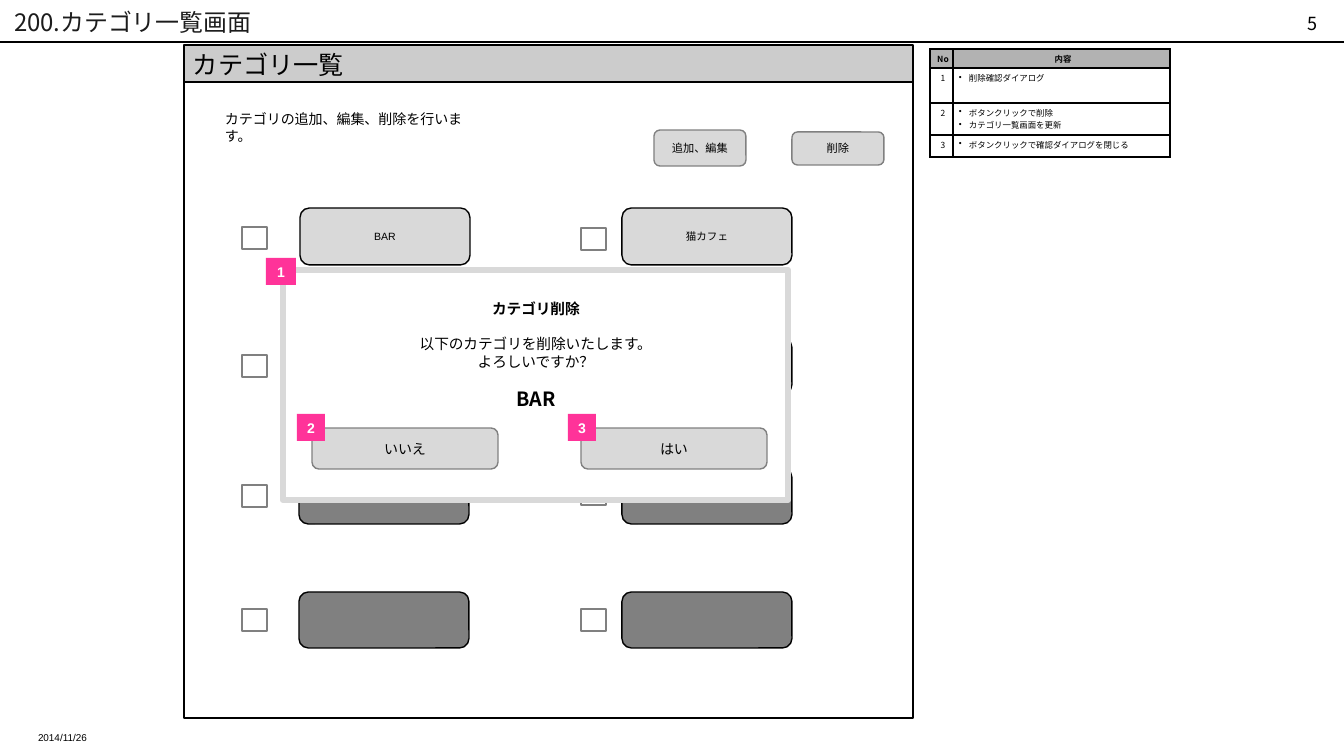
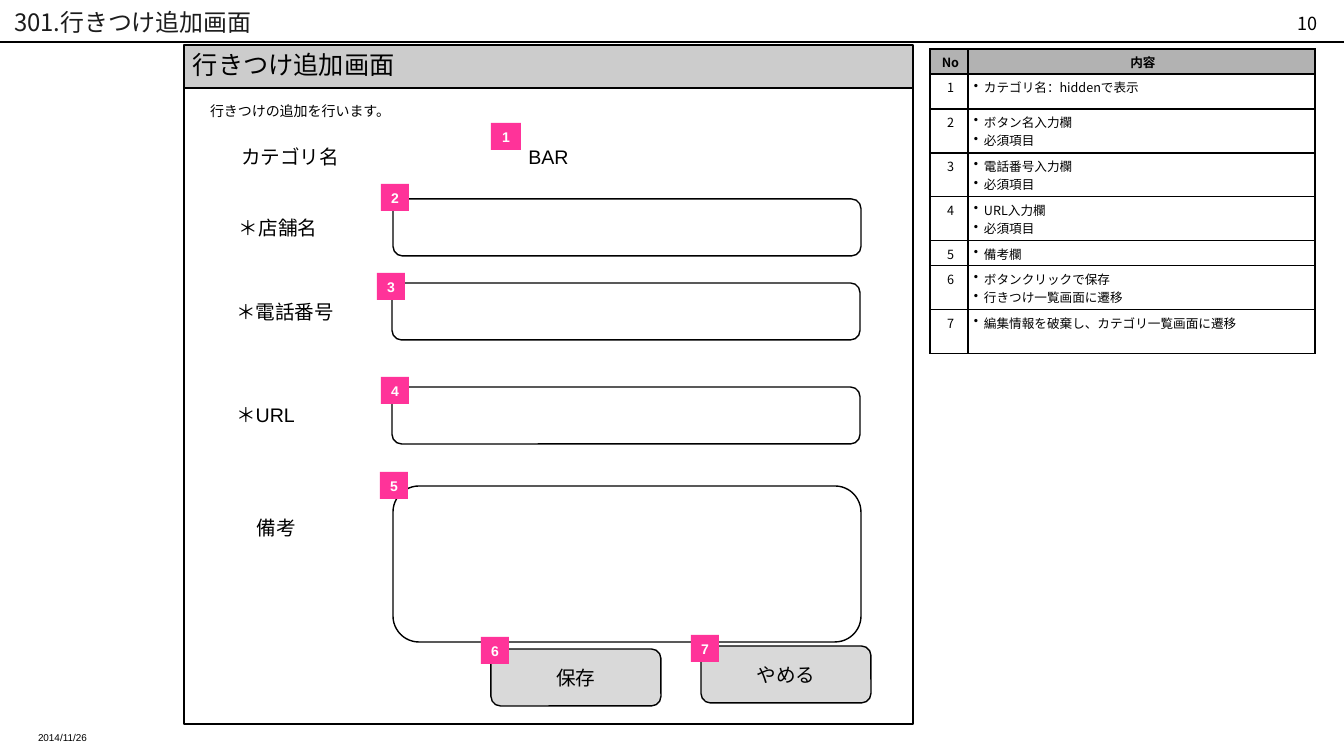
"""Build two annotated screen-design slides with their explanation tables."""
from dataclasses import dataclass

from lxml import etree
from pptx import Presentation
from pptx.enum import shapes, text
from pptx.oxml import ns
from pptx.dml.color import RGBColor
from pptx import util as u

EMU_PER_PX = 914400 / 100.8
LATIN, JAPANESE = "Arial", "Noto Sans CJK JP"
COLORS = {
    "black": "000000", "title": "1C1C1C", "white": "FFFFFF", "band": "CCCCCC",
    "button": "D9D9D9", "disabled": "808080", "marker": "FF3399", "head": "B2B2B2",
}
RECT = shapes.MSO_SHAPE.RECTANGLE
ROUND = shapes.MSO_SHAPE.ROUNDED_RECTANGLE
LEFT, CENTER, RIGHT = text.PP_ALIGN.LEFT, text.PP_ALIGN.CENTER, text.PP_ALIGN.RIGHT
TOP, MIDDLE = text.MSO_ANCHOR.TOP, text.MSO_ANCHOR.MIDDLE


@dataclass
class Frame:
    """A rectangle in px."""
    left: int
    top: int
    width: int
    height: int

    def emu(self) -> list:
        """Return the four lengths in EMU."""
        return [px(n) for n in (self.left, self.top, self.width, self.height)]


@dataclass
class Style:
    """Look of a span of text."""
    size: float
    font: str = LATIN
    color: str = "black"
    bold: bool = False


@dataclass
class Panel:
    """A filled shape with an optional label."""
    frame: Frame
    fill: str = "white"
    line: str = "black"
    kind: int = ROUND
    label: str = ""
    size: float = 10
    weight: float = 1


@dataclass
class Label:
    """A text box with one paragraph."""
    frame: Frame
    words: str
    style: Style
    align: int = LEFT
    inset: tuple = (10, 5, 10, 5)


@dataclass
class Marker:
    """A numbered pink tag."""
    number: int
    left: int
    top: int
    width: int = 28


@dataclass
class Line:
    """A paragraph of the dialog message."""
    words: str
    size: float
    bold: bool
    before: float
    height: float


@dataclass
class Notes:
    """The explanation table beside a screen."""
    columns: tuple
    rows: tuple
    size: float
    items: tuple


def px(length: float) -> int:
    """Turn px into EMU."""
    return round(length * EMU_PER_PX)


def rgb(name: str) -> RGBColor:
    """Look up a colour by name."""
    return RGBColor.from_string(COLORS[name])


def add_span(para, words: str, style: Style) -> None:
    """Add one formatted run to a paragraph."""
    span = para.add_run()
    span.text = words
    span.font.name = style.font
    span.font.size = u.Pt(style.size)
    span.font.bold = style.bold
    span.font.color.rgb = rgb(style.color)
    east_asian = etree.SubElement(span.font._element, ns.qn("a:ea"))
    east_asian.set("typeface", style.font)


def set_margins(target, inset: tuple) -> None:
    """Set the inner margins of a text frame or a cell."""
    sides = ("margin_left", "margin_top", "margin_right", "margin_bottom")
    for side, length in zip(sides, inset):
        setattr(target, side, px(length))


def add_panel(page, panel: Panel):
    """Draw a shape and centre its label."""
    box = page.shapes.add_shape(panel.kind, *panel.frame.emu())
    box.shadow.inherit = False
    box.fill.solid()
    box.fill.fore_color.rgb = rgb(panel.fill)
    if panel.line:
        box.line.color.rgb = rgb(panel.line)
        box.line.width = u.Pt(panel.weight)
    else:
        box.line.fill.background()
    if panel.label:
        box.text_frame.vertical_anchor = MIDDLE
        set_margins(box.text_frame, (4, 5, 4, 5))
        para = box.text_frame.paragraphs[0]
        para.alignment = CENTER
        tag = panel.fill == "marker"
        add_span(para, panel.label, Style(panel.size, color="white" if tag else "black", bold=tag))
    return box


def add_label(page, label: Label) -> None:
    """Draw a wrapping text box."""
    box = page.shapes.add_textbox(*label.frame.emu())
    box.text_frame.word_wrap = True
    set_margins(box.text_frame, label.inset)
    para = box.text_frame.paragraphs[0]
    para.alignment = label.align
    add_span(para, label.words, label.style)


def add_markers(page, markers: list) -> None:
    """Draw the numbered tags."""
    for marker in markers:
        frame = Frame(marker.left, marker.top, marker.width, 27)
        add_panel(page, Panel(frame, "marker", "", RECT, str(marker.number)))


def add_borders(cell) -> None:
    """Draw a thin black line on each side of a cell."""
    props = cell._tc.get_or_add_tcPr()
    for index, side in enumerate(("lnL", "lnR", "lnT", "lnB")):
        edge = etree.Element(ns.qn(f"a:{side}"), w=str(u.Pt(1)))
        fill = etree.SubElement(edge, ns.qn("a:solidFill"))
        etree.SubElement(fill, ns.qn("a:srgbClr"), val=COLORS["black"])
        props.insert(index, edge)


def add_bullet(para) -> None:
    """Give a paragraph a hanging bullet."""
    props = para._p.get_or_add_pPr()
    props.set("marL", str(px(10)))
    props.set("indent", str(-px(10)))
    etree.SubElement(props, ns.qn("a:buChar"), char="•")


def fill_cell(cell, lines: tuple, size: float, head: bool, bullets: bool) -> None:
    """Write and format one table cell."""
    cell.fill.solid()
    cell.fill.fore_color.rgb = rgb("head" if head else "white")
    set_margins(cell, (6, 4, 3, 4))
    add_borders(cell)
    for index, words in enumerate(lines):
        para = cell.text_frame.paragraphs[0] if index == 0 else cell.text_frame.add_paragraph()
        if bullets:
            add_bullet(para)
        else:
            para.alignment = CENTER
        add_span(para, words, Style(size, JAPANESE, bold=head))


def add_notes(page, notes: Notes) -> None:
    """Draw the explanation table."""
    frame = Frame(930, 49, sum(notes.columns), sum(notes.rows))
    table = page.shapes.add_table(len(notes.rows), 2, *frame.emu()).table
    table.first_row = table.horz_banding = False
    for column, width in zip(table.columns, notes.columns):
        column.width = px(width)
    for row, height in zip(table.rows, notes.rows):
        row.height = px(height)
    for col, heading in enumerate(("No", "内容")):
        fill_cell(table.cell(0, col), (heading,), notes.size, True, False)
    for number, lines in enumerate(notes.items, 1):
        fill_cell(table.cell(number, 0), (str(number),), notes.size, False, False)
        fill_cell(table.cell(number, 1), lines, notes.size, False, True)


def add_page(deck, title: str, number: int, heading: str, body: Frame, notes: Notes):
    """Add a slide with title, rule, number, date, screen outline and notes."""
    page = deck.slides.add_slide(deck.slide_layouts[5])
    box = page.shapes.title
    box.left, box.top, box.width, box.height = Frame(0, 4, 1210, 35).emu()
    frame = box.text_frame
    frame.auto_size = text.MSO_AUTO_SIZE.NONE
    frame.vertical_anchor = MIDDLE
    set_margins(frame, (14, 7, 14, 7))
    frame.paragraphs[0].alignment = LEFT
    add_span(frame.paragraphs[0], title, Style(17.1, JAPANESE, "title"))
    rule = page.shapes.add_connector(shapes.MSO_CONNECTOR.STRAIGHT, 0, px(42), px(1344), px(42))
    rule.line.color.rgb = rgb("black")
    rule.line.width = u.Pt(0.75)
    etree.SubElement(rule._element.spPr, ns.qn("a:effectLst"))
    add_label(page, Label(Frame(1014, 7, 313, 15), str(number), Style(12.9, JAPANESE), RIGHT))
    add_panel(page, Panel(Frame(184, 45, 729, 532), "band", kind=RECT))
    add_panel(page, Panel(body, kind=RECT))
    add_label(page, Label(Frame(24, 726, 313, 15), "2014/11/26", Style(7.1), inset=(14, 7, 14, 7)))
    add_label(page, Label(Frame(183, 44, 290, 40), heading, Style(18)))
    add_notes(page, notes)
    return page


def add_dialog(page) -> None:
    """Draw the delete confirmation dialog."""
    add_panel(page, Panel(Frame(283, 270, 505, 230), line="button", kind=RECT, weight=4.5))
    box = add_panel(page, Panel(Frame(319, 306, 434, 99), line="", kind=RECT))
    box.text_frame.vertical_anchor = MIDDLE
    set_margins(box.text_frame, (10, 4, 10, 4))
    lines = (
        Line("カテゴリ削除", 10.5, True, 0, 12.5),
        Line("以下のカテゴリを削除いたします。", 10.5, False, 12.5, 12.5),
        Line("よろしいですか？", 10.5, False, 0, 12.5),
        Line("BAR", 14, True, 11, 18),
    )
    for index, line in enumerate(lines):
        para = box.text_frame.paragraphs[0] if index == 0 else box.text_frame.add_paragraph()
        para.alignment = CENTER
        para.space_before = u.Pt(line.before)
        para.line_spacing = u.Pt(line.height)
        add_span(para, line.words, Style(line.size, JAPANESE, bold=line.bold))
    for left, words in ((581, "はい"), (312, "いいえ")):
        add_panel(page, Panel(Frame(left, 428, 186, 41), "button", "disabled", label=words))


def add_category_page(deck) -> None:
    """Build the category list slide."""
    notes = Notes((23, 217), (19, 35, 32, 22), 6, (
        ("削除確認ダイアログ",),
        ("ボタンクリックで削除", "カテゴリ一覧画面を更新"),
        ("ボタンクリックで確認ダイアログを閉じる",),
    ))
    page = add_page(deck, "200.カテゴリ一覧画面", 5, "カテゴリ一覧", Frame(184, 82, 729, 636), notes)
    for left, words in ((300, "BAR"), (622, "猫カフェ")):
        add_panel(page, Panel(Frame(left, 208, 170, 57), "button", label=words, size=7.5))
    for left, top in ((622, 338), (622, 468), (299, 468), (299, 592), (622, 592)):
        add_panel(page, Panel(Frame(left, top, 170, 56), "disabled"))
    for frame, words in ((Frame(654, 130, 92, 36), "追加、編集"), (Frame(792, 132, 92, 33), "削除")):
        add_panel(page, Panel(frame, "button", "disabled", label=words, size=8))
    for left, tops in ((242, (227, 355, 485, 609)), (581, (228, 483, 609))):
        for top in tops:
            add_panel(page, Panel(Frame(left, top, 25, 22), line="disabled", kind=RECT))
    add_label(page, Label(Frame(215, 106, 262, 27), "カテゴリの追加、編集、削除を行います。", Style(10)))
    add_dialog(page)
    add_markers(page, [Marker(1, 266, 258, 30), Marker(3, 568, 414), Marker(2, 297, 414)])


def add_favorite_page(deck) -> None:
    """Build the form slide."""
    notes = Notes((38, 347), (25, 35, 44, 44, 44, 25, 44, 44), 9, (
        ("カテゴリ名：hiddenで表示",), ("ボタン名入力欄", "必須項目"),
        ("電話番号入力欄", "必須項目"), ("URL入力欄", "必須項目"), ("備考欄",),
        ("ボタンクリックで保存", "行きつけ一覧画面に遷移"),
        ("編集情報を破棄し、カテゴリ一覧画面に遷移",),
    ))
    page = add_page(deck, "301.行きつけ追加画面", 10, "行きつけ追加画面", Frame(184, 88, 729, 636), notes)
    add_label(page, Label(Frame(200, 98, 291, 27), "行きつけの追加を行います。", Style(10)))
    for left, top, height in ((393, 199, 57), (392, 283, 57), (392, 387, 57), (393, 486, 156)):
        add_panel(page, Panel(Frame(left, top, 468, height)))
    names = ((231, 140, "カテゴリ名"), (229, 211, "＊店舗名"), (226, 295, "＊電話番号"),
             (226, 398, "＊URL"), (247, 511, "備考"))
    for left, top, words in names:
        add_label(page, Label(Frame(left, top, 151, 34), words, Style(14)))
    add_label(page, Label(Frame(473, 140, 151, 34), "BAR", Style(14), CENTER))
    for left, top, words in ((491, 649, "保存"), (701, 646, "やめる")):
        add_panel(page, Panel(Frame(left, top, 170, 57), "button", label=words, size=14))
    add_markers(page, [
        Marker(1, 491, 123, 30), Marker(2, 381, 184), Marker(3, 377, 273), Marker(4, 381, 377),
        Marker(5, 380, 472), Marker(6, 481, 637), Marker(7, 691, 635),
    ])


def main() -> None:
    """Build and save the deck."""
    deck = Presentation()
    deck.slide_width, deck.slide_height = px(1344), px(756)
    add_category_page(deck)
    add_favorite_page(deck)
    deck.save("out.pptx")


if __name__ == "__main__":
    main()
